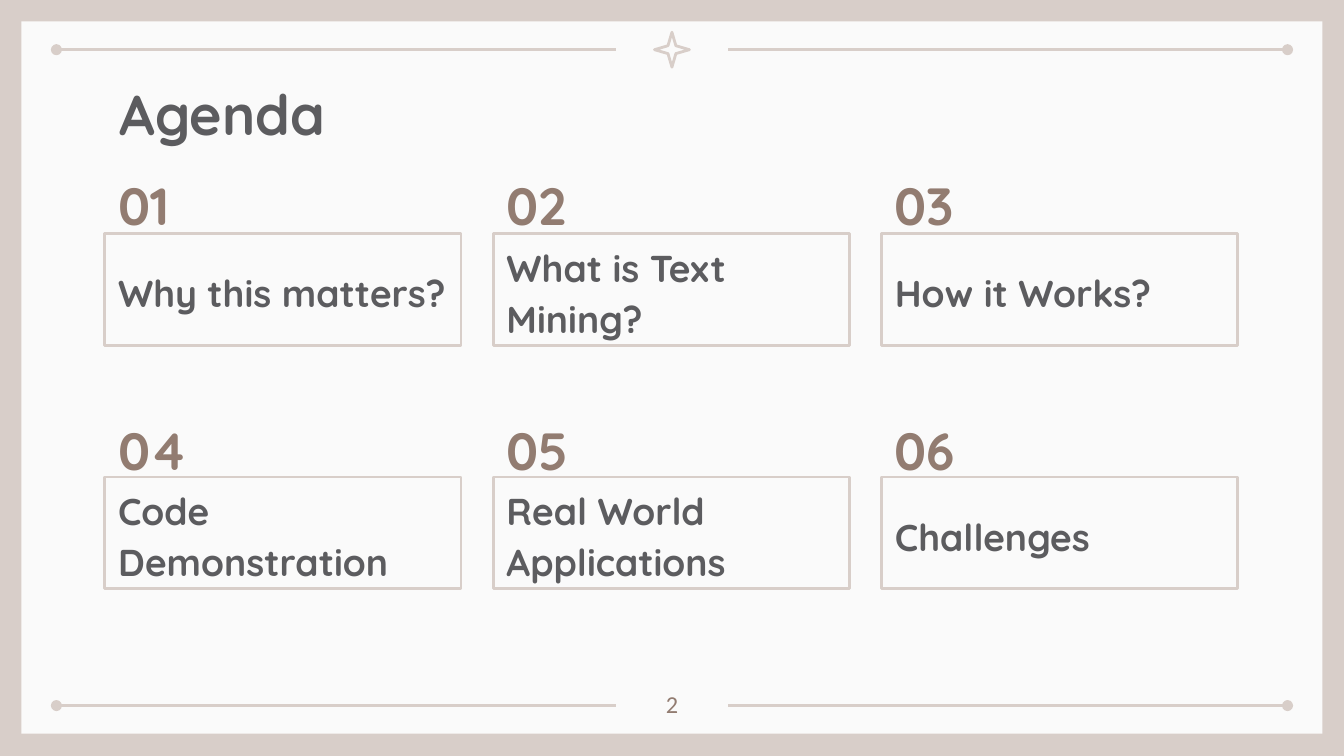
import pptx
import pptx.util
import pptx.dml.color
import pptx.enum.shapes
import pptx.enum.text
import pptx.oxml.ns
from lxml import etree

Inches = pptx.util.Inches
Pt = pptx.util.Pt
RGBColor = pptx.dml.color.RGBColor
Shape = pptx.enum.shapes.MSO_SHAPE
Anchor = pptx.enum.text.MSO_ANCHOR
Align = pptx.enum.text.PP_ALIGN
qn = pptx.oxml.ns.qn

SAND = RGBColor(0xD8, 0xCE, 0xC9)
PAPER = RGBColor(0xFA, 0xFA, 0xFA)
GRAY = RGBColor(0x5C, 0x5C, 0x5F)
BROWN = RGBColor(0x92, 0x7C, 0x71)


def write(shape, text, size, color, anchor=Anchor.MIDDLE, align=Align.LEFT,
          face="Quicksand", bold=True, space=1.15):
    frame = shape.text_frame
    frame.text = text
    frame.word_wrap = True
    frame.auto_size = pptx.enum.text.MSO_AUTO_SIZE.NONE
    frame.vertical_anchor = anchor
    frame.margin_left = frame.margin_right = Inches(0.1)
    frame.margin_top = frame.margin_bottom = Inches(0.1)
    par = frame.paragraphs[0]
    par.alignment = align
    par.line_spacing = space
    par.font.name = face
    par.font.size = Pt(size)
    par.font.bold = bold
    par.font.color.rgb = color


def outline(shape):
    shape.shadow.inherit = False
    shape.fill.background()
    shape.line.color.rgb = SAND
    shape.line.width = Pt(1.5)


deck = pptx.Presentation()
deck.slide_width = Inches(10)
deck.slide_height = Inches(10) * 9 // 16
slide = deck.slides.add_slide(deck.slide_layouts[5])
slide.background.fill.solid()
slide.background.fill.fore_color.rgb = SAND
shapes = slide.shapes

panel = shapes.add_shape(Shape.RECTANGLE, Inches(0.16), Inches(0.16), Inches(9.68), Inches(5.3))
panel.shadow.inherit = False
panel.fill.solid()
panel.fill.fore_color.rgb = PAPER
panel.line.fill.background()

for y in (0.37, 5.25):
    for start, end, tip in ((0.42, 4.58, "a:headEnd"), (5.42, 9.58, "a:tailEnd")):
        rule = shapes.add_connector(pptx.enum.shapes.MSO_CONNECTOR.STRAIGHT,
                                    Inches(start), Inches(y), Inches(end), Inches(y))
        rule.line.color.rgb = SAND
        rule.line.width = Pt(1.5)
        props = rule.line._get_or_add_ln()
        etree.SubElement(props, qn(tip)).set("type", "oval")
        etree.SubElement(props.getparent(), qn("a:effectLst"))

star = shapes.add_shape(Shape.STAR_4_POINT, Inches(4.87), Inches(0.24), Inches(0.26), Inches(0.26))
star.adjustments[0] = 0.16
outline(star)

title = shapes.title
title.left, title.top = Inches(0.79), Inches(0.49)
title.width, title.height = Inches(8.43), Inches(0.63)
write(title, "Agenda", 30, GRAY, anchor=Anchor.TOP, space=1.0)
panel._element.getparent().append(title._element)

topics = ["Why this matters?", "What is Text Mining?", "How it Works?",
          "Code Demonstration", "Real World Applications", "Challenges"]
for i, topic in enumerate(topics):
    row, col = divmod(i, 3)
    x = 0.78 + 2.89 * col
    num = shapes.add_textbox(Inches(x), Inches(1.25 + 1.82 * row), Inches(0.72), Inches(0.48))
    write(num, f"{i + 1:02}", 28, BROWN)
    box = shapes.add_shape(Shape.RECTANGLE, Inches(x), Inches(1.74 + 1.81 * row),
                           Inches(2.65), Inches(0.83))
    outline(box)
    write(box, topic, 20, GRAY)

page = shapes.add_textbox(Inches(4.7), Inches(5.03), Inches(0.6), Inches(0.36))
write(page, "2", 13, BROWN, anchor=Anchor.TOP, align=Align.CENTER,
      face="Calibri", bold=False, space=1.0)

deck.save("out.pptx")
